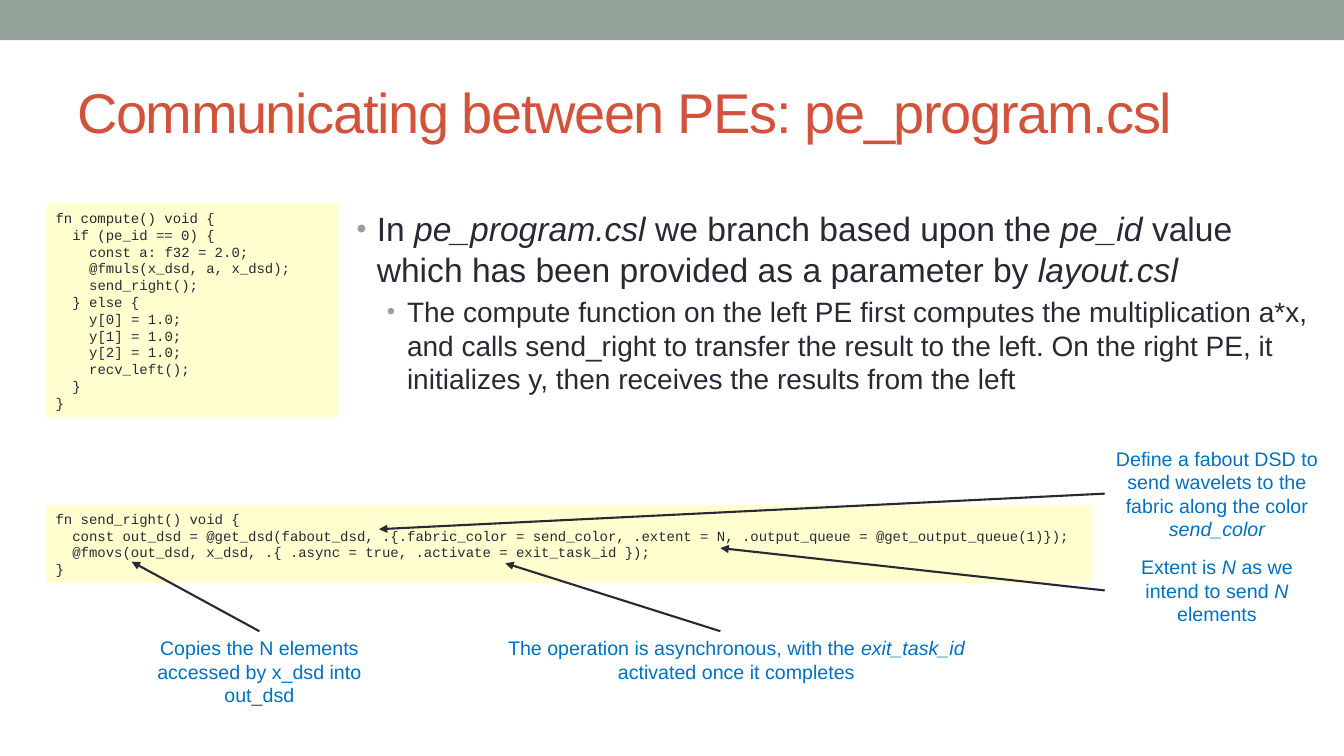
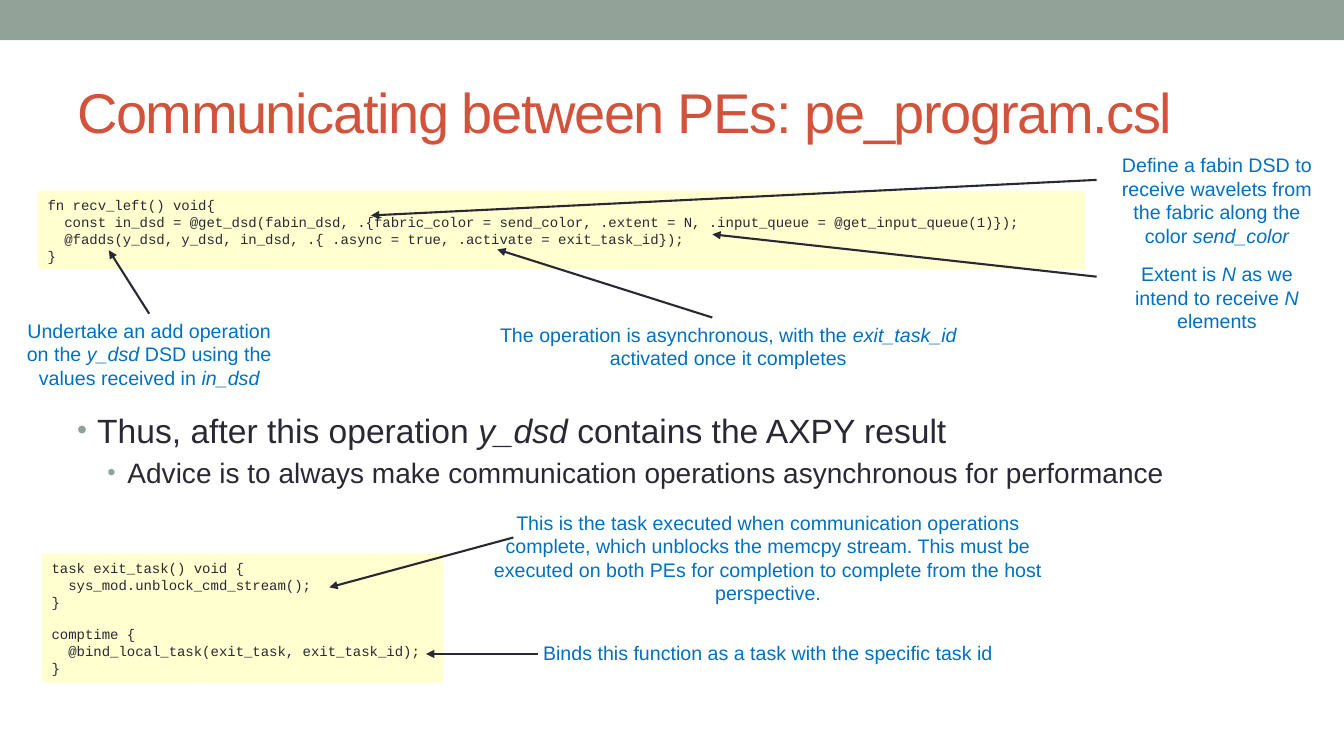
from lxml import etree
from pptx import Presentation
from pptx.dml.color import RGBColor
from pptx.enum.shapes import MSO_CONNECTOR as Conn, MSO_SHAPE as Shape
from pptx.enum.text import MSO_ANCHOR as Anchor, PP_ALIGN as Align
from pptx.oxml.ns import qn
from pptx.util import Inches, Pt

SAGE = RGBColor(0x93, 0xA2, 0x99)
RUST = RGBColor(0xD2, 0x53, 0x3C)
INK = RGBColor(0x29, 0x29, 0x34)
BLUE = RGBColor(0x00, 0x70, 0xC0)
YELLOW = RGBColor(0xFF, 0xFF, 0x66)

# Every position and size is a percentage of the slide's width or height
WIDTH, HEIGHT = Inches(13.333), Inches(7.5)
CODE_SIZE = 10
CODE_CHAR = 0.6 * CODE_SIZE
CODE_LINE = 1.13 * CODE_SIZE
NOTE_X, NOTE_W = 82.1, 16.9

COMPUTE = """\
fn compute() void {
  if (pe_id == 0) {
    const a: f32 = 2.0;
    @fmuls(x_dsd, a, x_dsd);
    send_right();
  } else {
    y[0] = 1.0;
    y[1] = 1.0;
    y[2] = 1.0;
    recv_left();
  }
}"""

SEND = """\
fn send_right() void {
  const out_dsd = @get_dsd(fabout_dsd, .{.fabric_color = send_color, .extent = N, .output_queue = @get_output_queue(1)});
  @fmovs(out_dsd, x_dsd, .{ .async = true, .activate = exit_task_id });
}"""

RECEIVE = """\
fn recv_left() void{
  const in_dsd = @get_dsd(fabin_dsd, .{fabric_color = send_color, .extent = N, .input_queue = @get_input_queue(1)});
  @fadds(y_dsd, y_dsd, in_dsd, .{ .async = true, .activate = exit_task_id});
}"""

EXIT_TASK = """\
task exit_task() void {
  sys_mod.unblock_cmd_stream();
}

comptime {
  @bind_local_task(exit_task, exit_task_id);
}"""


def across(share):
    return round(WIDTH * share / 100)


def down(share):
    return round(HEIGHT * share / 100)


def frame(x, y, w, h):
    return across(x), down(y), across(w), down(h)


def write(p, text, size=14, color=BLUE, font="Arial", align=Align.LEFT,
          before=0, indent=0, spacing=None):
    """Fill a paragraph; text between bars is italic."""
    p.alignment = align
    p.space_before = Pt(before)
    if indent:
        p._p.get_or_add_pPr().set("marL", str(Pt(indent)))
    for i, part in enumerate(text.split("|")):
        if part:
            r = p.add_run()
            r.text = part
            r.font.size, r.font.name = Pt(size), font
            r.font.color.rgb = color
            r.font.italic = i % 2 == 1
            if spacing:
                r._r.get_or_add_rPr().set("spc", str(spacing))


def text_box(s, at):
    tf = s.shapes.add_textbox(*frame(*at)).text_frame
    tf.word_wrap = True
    return tf


def panel(s, at, color, alpha=None):
    sp = s.shapes.add_shape(Shape.RECTANGLE, *frame(*at))
    sp.shadow.inherit = False
    sp.fill.solid()
    sp.fill.fore_color.rgb = color
    sp.line.fill.background()
    if alpha:
        rgb = sp._element.spPr.find(".//" + qn("a:srgbClr"))
        etree.SubElement(rgb, qn("a:alpha"), val=str(alpha * 1000))
    return sp


def code(s, at, source):
    tf = panel(s, at, YELLOW, alpha=30).text_frame
    tf.word_wrap = True
    tf.vertical_anchor = Anchor.MIDDLE
    p, gap = tf.paragraphs[0], 0
    for i, line in enumerate(source.splitlines()):
        text = line.lstrip()
        if not text:
            gap += CODE_LINE
            continue
        p = tf.add_paragraph() if i else p
        write(p, text, size=CODE_SIZE, color=INK, font="Courier New",
              before=gap, indent=(len(line) - len(text)) * CODE_CHAR)
        gap = 0


def note(s, at, text):
    write(text_box(s, at).paragraphs[0], text, align=Align.CENTER)


def arrow(s, start, end):
    c = s.shapes.add_connector(Conn.STRAIGHT, across(start[0]), down(start[1]),
                               across(end[0]), down(end[1]))
    c.line.color.rgb = INK
    c.line.width = Pt(1.5)
    etree.SubElement(c.line._get_or_add_ln(), qn("a:tailEnd"), type="triangle")
    etree.SubElement(c._element.spPr, qn("a:effectLst"))


def bullets(s, at, *texts):
    """One bullet per text, each a level below the one before."""
    tf = text_box(s, at)
    for level, text in enumerate(texts):
        p = tf.add_paragraph() if level else tf.paragraphs[0]
        size = 24 - 4 * level
        write(p, text, size=size, color=INK, before=size * 0.2)
        pPr = p._p.get_or_add_pPr()
        pPr.set("marL", str(Inches(0.2 + 0.3 * level)))
        pPr.set("indent", str(-Inches(0.2)))
        clr = etree.SubElement(pPr, qn("a:buClr"))
        etree.SubElement(clr, qn("a:srgbClr"), val=str(SAGE))
        etree.SubElement(pPr, qn("a:buSzPct"), val="85000")
        etree.SubElement(pPr, qn("a:buFont"), typeface="Arial")
        etree.SubElement(pPr, qn("a:buChar"), char="•")


def new_slide(prs, title):
    s = prs.slides.add_slide(prs.slide_layouts[6])
    panel(s, (0, 0, 100, 5.33), SAGE)
    tf = text_box(s, (5, 7.8, 90, 13.9))
    tf.vertical_anchor = Anchor.MIDDLE
    write(tf.paragraphs[0], title, size=40, color=RUST, spacing=-100)
    return s


def explained_transfer(s, x, y, source, note_y, define, extent):
    """A transfer function with notes on its DSD, extent and async flag."""
    code(s, (x, y, 77.9, 10.3), source)
    note(s, (NOTE_X, note_y, NOTE_W, 13.9), define)
    note(s, (NOTE_X, note_y + 14.4, NOTE_W, 10.8), extent)
    note(s, (x + 31.4, y + 16.7, 40, 7.6),
         "The operation is asynchronous, with the |exit_task_id |"
         "activated once it completes")
    for start, end in (((78.8, -1.5), (24.8, 3.2)),
                       ((78.8, 11.3), (50.2, 5.7)),
                       ((50.2, 16.7), (34.2, 7.7))):
        arrow(s, (x + start[0], y + start[1]), (x + end[0], y + end[1]))


def send_slide(prs, title):
    s = new_slide(prs, title)
    # Branch on the PE
    code(s, (3.4, 26.9, 21.8, 28.3), COMPUTE)
    bullets(s, (25.8, 26.9, 72.7, 28.3),
            "In |pe_program.csl |we branch based upon the |pe_id |value which "
            "has been provided as a parameter by |layout.csl|",
            "The compute function on the left PE first computes the "
            "multiplication a*x, and calls send_right to transfer the result "
            "to the left. On the right PE, it initializes y, then receives "
            "the results from the left")
    # Sending function
    explained_transfer(
        s, 3.4, 66.8, SEND, 58.4,
        "Define a fabout DSD to send wavelets to the fabric along the color "
        "|send_color|",
        "Extent is |N |as we intend to send |N| elements")
    note(s, (9.1, 83.5, 20.4, 10.8),
         "Copies the N elements accessed by x_dsd into out_dsd")
    arrow(s, (19.3, 83.5), (9.8, 74.3))


def receive_slide(prs, title):
    s = new_slide(prs, title)
    # Receiving function
    explained_transfer(
        s, 2.8, 25.3, RECEIVE, 19.6,
        "Define a fabin DSD to receive wavelets from the fabric along the "
        "color |send_color|",
        "Extent is |N |as we intend to receive |N| elements")
    note(s, (0.9, 41.5, 20.4, 10.8),
         "Undertake an add operation on the |y_dsd |DSD using the values "
         "received in |in_dsd|")
    arrow(s, (11.1, 41.5), (8.1, 33.1))
    # Conclusion
    bullets(s, (5, 53.5, 92.4, 13.9),
            "Thus, after this operation |y_dsd |contains the AXPY result",
            "Advice is to always make communication operations asynchronous "
            "for performance")
    # Exit task
    code(s, (3.1, 73.2, 29.9, 17.1), EXIT_TASK)
    note(s, (35.3, 66.9, 43.7, 13.9),
         "This is the task executed when communication operations complete, "
         "which unblocks the memcpy stream. This must be executed on both PEs "
         "for completion to complete from the host perspective.")
    arrow(s, (38.2, 71.1), (24.5, 77.7))
    note(s, (35.3, 84.1, 43.7, 4.5),
         "Binds this function as a task with the specific task id")
    arrow(s, (40, 86.5), (31.7, 86.5))


def main():
    prs = Presentation()
    prs.slide_width, prs.slide_height = WIDTH, HEIGHT
    title = "Communicating between PEs: pe_program.csl"
    send_slide(prs, title)
    receive_slide(prs, title)
    prs.save("out.pptx")


if __name__ == "__main__":
    main()
